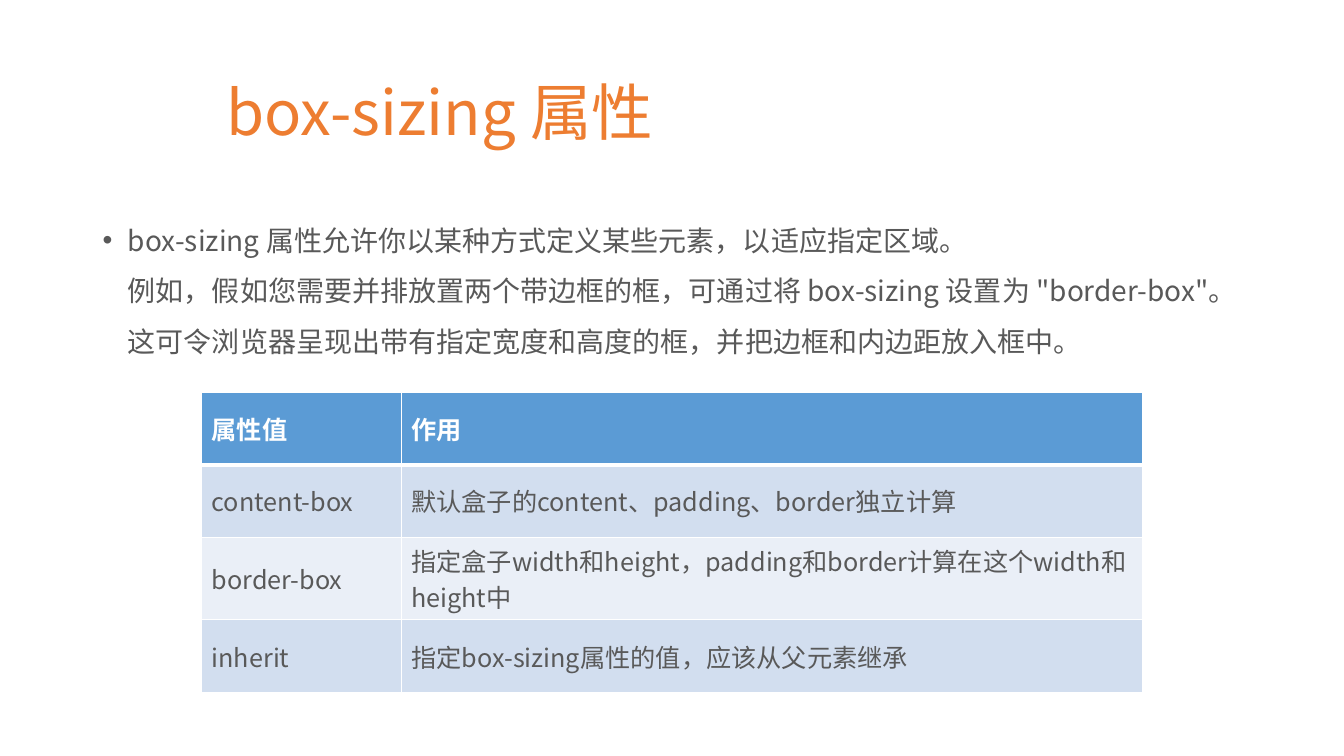
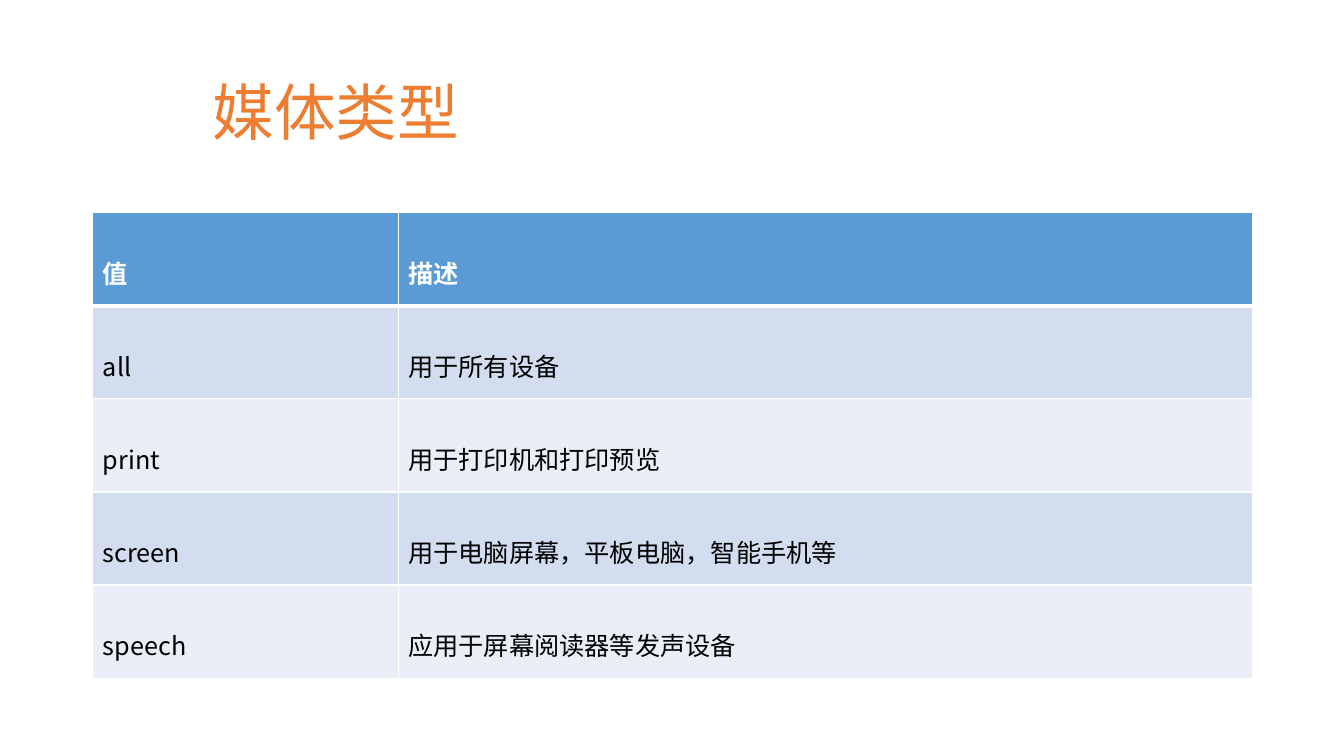
"""Build two slides on the box-sizing property and media types."""
import dataclasses
import typing

import lxml.etree
import pptx
import pptx.dml.color
import pptx.enum.text
import pptx.oxml.ns
import pptx.util

Inches = pptx.util.Inches
RGB = pptx.dml.color.RGBColor
ANCHOR = pptx.enum.text.MSO_ANCHOR
qn = pptx.oxml.ns.qn

ORANGE = RGB(0xED, 0x7D, 0x31)
GREY = RGB(0x59, 0x59, 0x59)
BLACK = RGB(0, 0, 0)
WHITE = RGB(0xFF, 0xFF, 0xFF)
BLUE = RGB(0x5B, 0x9B, 0xD5)
BANDS = (RGB(0xD2, 0xDE, 0xEF), RGB(0xEA, 0xEF, 0xF7))
SANS = "Noto Sans CJK SC"
LATIN = "Calibri"


@dataclasses.dataclass(frozen=True)
class Grid:
    """A table's place, rows and text style."""
    left: float
    top: float
    widths: tuple[float, ...]
    heights: tuple[float, ...]
    rows: tuple[tuple[str, ...], ...]
    color: RGB
    head: str = SANS
    spacing: float = 1.0
    anchor: ANCHOR = ANCHOR.TOP


BOX = Grid(
    2, 3.89, (1.98, 7.35), (0.72, 0.72, 0.82, 0.72),
    (
        ("属性值", "作用"),
        ("content-box", "默认盒子的content、padding、border独立计算"),
        ("border-box", "指定盒子width和height，padding和border计算在这个width和height中"),
        ("inherit", "指定box-sizing属性的值，应该从父元素继承"),
    ),
    GREY, head=LATIN, anchor=ANCHOR.MIDDLE,
)
MEDIA = Grid(
    0.92, 2.11, (3.03, 8.47), (4.62 / 5,) * 5,
    (
        ("值", "描述"),
        ("all", "用于所有设备"),
        ("print", "用于打印机和打印预览"),
        ("screen", "用于电脑屏幕，平板电脑，智能手机等"),
        ("speech", "应用于屏幕阅读器等发声设备"),
    ),
    BLACK, spacing=2.0,
)
BODY = (
    "box-sizing 属性允许你以某种方式定义某些元素，以适应指定区域。\v"
    "例如，假如您需要并排放置两个带边框的框，可通过将 box-sizing 设置为 "
    "\"border-box\"。这可令浏览器呈现出带有指定宽度和高度的框，并把边框和内边距放入框中。"
)


def write(frame: typing.Any, text: str, *, size: float, color: RGB, font: str = SANS,
          bold: bool = False, spacing: float = 1.0, bullet: bool = False) -> None:
    """Put one formatted paragraph in a text frame."""
    frame.word_wrap = True
    para = frame.paragraphs[0]
    para.text = text
    para.line_spacing = spacing
    for run in para.runs:
        run.font.size = pptx.util.Pt(size)
        run.font.bold = bold
        run.font.name = font
        run.font.color.rgb = color
        east = lxml.etree.SubElement(run.font._element, qn("a:ea"))
        east.set("typeface", SANS)
    if bullet:
        props = para._p.get_or_add_pPr()
        props.set("marL", str(Inches(0.25)))
        props.set("indent", str(-Inches(0.25)))
        lxml.etree.SubElement(props, qn("a:buFont")).set("typeface", "Arial")
        lxml.etree.SubElement(props, qn("a:buChar")).set("char", "•")


def add_text(slide: typing.Any, place: tuple[float, ...], text: str,
             anchor: ANCHOR = ANCHOR.TOP, **style: typing.Any) -> None:
    """Add a text box at a place given in inches."""
    frame = slide.shapes.add_textbox(*map(Inches, place)).text_frame
    frame.vertical_anchor = anchor
    write(frame, text, **style)


def add_title(slide: typing.Any, text: str) -> None:
    """Add the shared slide title."""
    add_text(slide, (2.01, 0.7, 9.98, 0.89), text, ANCHOR.MIDDLE,
             size=44, color=ORANGE, spacing=0.9)


def edge(cell: typing.Any, side: str, width: float) -> None:
    """Draw one white border of a cell."""
    line = lxml.etree.SubElement(cell._tc.get_or_add_tcPr(), qn(f"a:ln{side}"))
    line.set("w", str(pptx.util.Pt(width)))
    fill = lxml.etree.SubElement(line, qn("a:solidFill"))
    lxml.etree.SubElement(fill, qn("a:srgbClr")).set("val", str(WHITE))


def add_grid(slide: typing.Any, grid: Grid) -> None:
    """Add a table with a header row and banded rows."""
    table = slide.shapes.add_table(
        len(grid.rows), len(grid.widths), Inches(grid.left), Inches(grid.top),
        Inches(sum(grid.widths)), Inches(sum(grid.heights))).table
    for column, width in zip(table.columns, grid.widths):
        column.width = Inches(width)
    for i, (texts, height) in enumerate(zip(grid.rows, grid.heights)):
        table.rows[i].height = Inches(height)
        head = i == 0
        for j, text in enumerate(texts):
            cell = table.cell(i, j)
            cell.vertical_anchor = grid.anchor
            thick = "B" if head else "T" if i == 1 else ""
            for side in "LRTB":
                edge(cell, side, 3 if side == thick else 1)
            cell.fill.solid()
            cell.fill.fore_color.rgb = BLUE if head else BANDS[(i - 1) % 2]
            write(cell.text_frame, text, size=18, bold=head,
                  color=WHITE if head else grid.color,
                  font=grid.head if head else SANS, spacing=grid.spacing)


def main() -> None:
    """Build and save the deck."""
    deck = pptx.Presentation()
    deck.slide_width, deck.slide_height = Inches(13.33), Inches(7.5)
    blank = deck.slide_layouts[6]

    slide = deck.slides.add_slide(blank)
    add_title(slide, " box-sizing 属性")
    add_text(slide, (0.92, 2, 11.5, 1.7), BODY,
             size=20, color=GREY, spacing=1.5, bullet=True)
    add_grid(slide, BOX)

    slide = deck.slides.add_slide(blank)
    add_title(slide, "媒体类型")
    add_grid(slide, MEDIA)

    deck.save("out.pptx")


if __name__ == "__main__":
    main()
